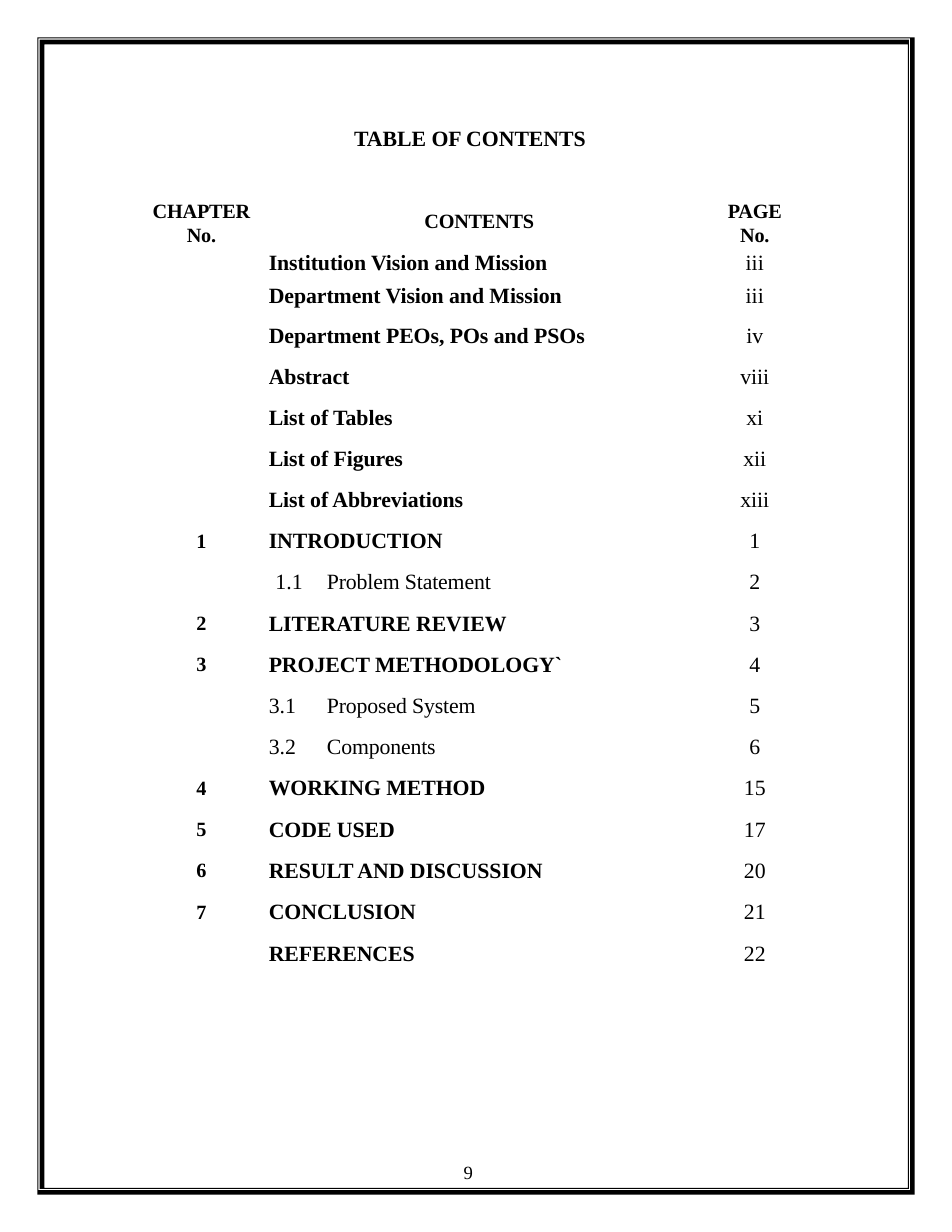
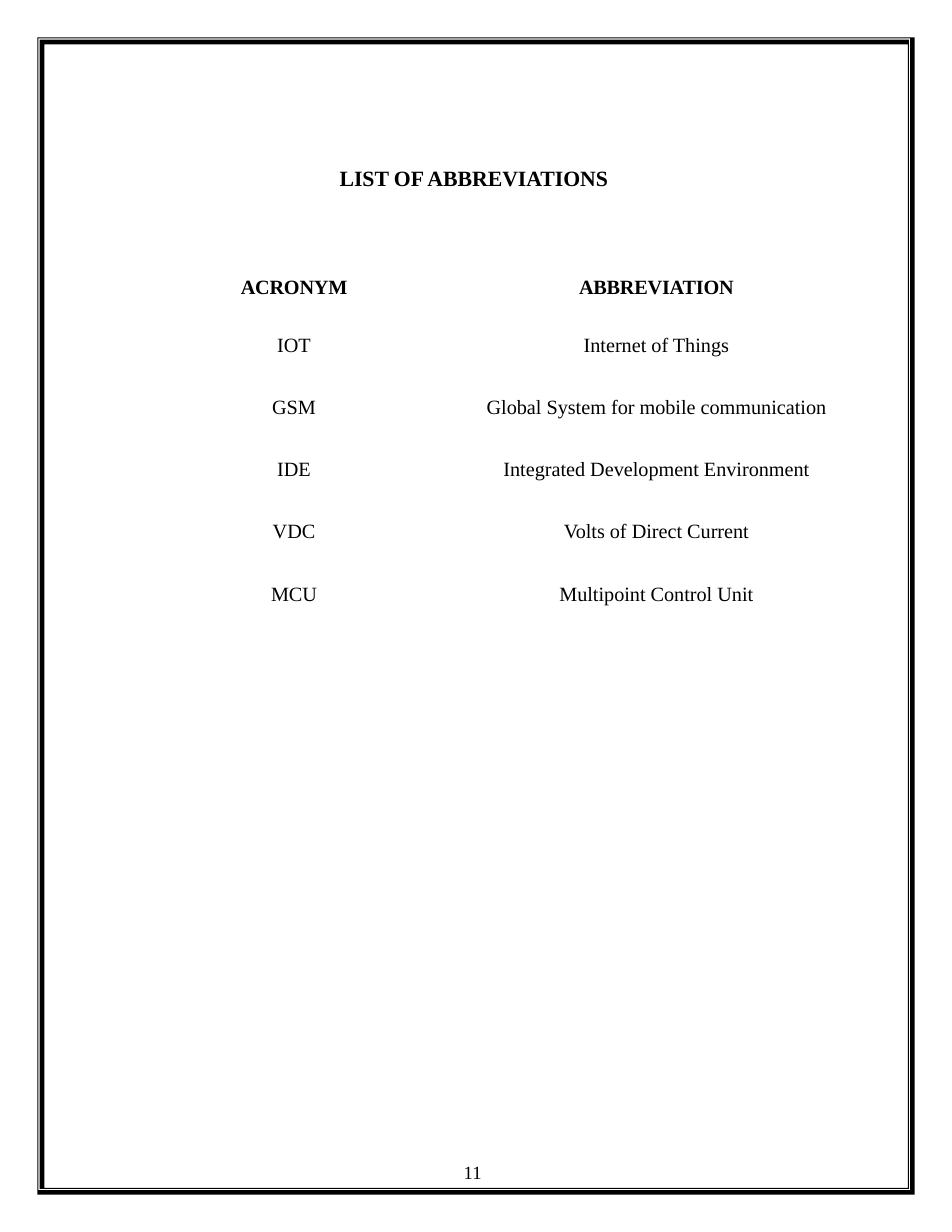
from dataclasses import dataclass
from typing import NamedTuple

from pptx import Presentation
from pptx.dml.color import RGBColor
from pptx.enum import text as t
from pptx.util import Pt

INK = {"black": "000000"}
FACE = "Times New Roman"
LEFT, MID = t.PP_ALIGN.LEFT, t.PP_ALIGN.CENTER
FRAME = [
    (24, 24, 588, 768),
    (24.7, 24.7, 585, 765),
    (25.5, 25.5, 584.3, 764.3),
    (28.5, 28.5, 583.6, 763.6),
]


@dataclass
class Label:
    words: str
    size: float = 14
    bold: bool = False
    align: t.PP_ALIGN = LEFT
    left: float = 0
    right: float = 0
    before: float = 0
    lines: tuple = ()
    kern: int = 0


class Box(NamedTuple):
    x: float
    y: float
    w: float
    h: float


class Entry(NamedTuple):
    num: str
    sub: str
    words: str
    page: str


ENTRIES = [
    Entry("", "", "Institution Vision and Mission", "iii"),
    Entry("", "", "Department Vision and Mission", "iii"),
    Entry("", "", "Department PEOs, POs and PSOs", "iv"),
    Entry("", "", "Abstract", "viii"),
    Entry("", "", "List of Tables", "xi"),
    Entry("", "", "List of Figures", "xii"),
    Entry("", "", "List of Abbreviations", "xiii"),
    Entry("1", "", "INTRODUCTION", "1"),
    Entry("", "1.1", "Problem Statement", "2"),
    Entry("2", "", "LITERATURE REVIEW", "3"),
    Entry("3", "", "PROJECT METHODOLOGY`", "4"),
    Entry("", "3.1", "Proposed System", "5"),
    Entry("", "3.2", "Components", "6"),
    Entry("4", "", "WORKING METHOD", "15"),
    Entry("5", "", "CODE USED", "17"),
    Entry("6", "", "RESULT AND DISCUSSION", "20"),
    Entry("7", "", "CONCLUSION", "21"),
    Entry("", "", "REFERENCES", "22"),
]

TERMS = [
    ("IOT", "Internet of Things"),
    ("GSM", "Global System for mobile communication"),
    ("IDE", "Integrated Development Environment"),
    ("VDC", "Volts of Direct Current"),
    ("MCU", "Multipoint Control Unit"),
]


def write(body, label: Label) -> None:
    body.text = label.words
    for i, para in enumerate(body.paragraphs):
        para.alignment = label.align
        para.space_before = Pt(label.before)
        if label.lines:
            para.line_spacing = Pt(label.lines[i])
        for run in para.runs:
            font = run.font
            font.name, font.size, font.bold = FACE, Pt(label.size), label.bold
            font.color.rgb = RGBColor.from_string(INK["black"])
            if label.kern:
                font._element.set("spc", str(label.kern))


def pad(area, label: Label) -> None:
    area.margin_left, area.margin_right = Pt(label.left), Pt(label.right)
    area.margin_top, area.margin_bottom = Pt(label.before), Pt(0)


def add_text(slide, box: Box, label: Label) -> None:
    body = slide.shapes.add_textbox(*map(Pt, box)).text_frame
    body.word_wrap = True
    pad(body, label)
    write(body, label)


def fill_cell(cell, label: Label) -> None:
    pad(cell, label)
    if label.words:
        write(cell.text_frame, label)
    else:
        para = cell.text_frame.paragraphs[0]
        para._p.get_or_add_endParaRPr().set("sz", "1000")


def add_grid(slide, x: float, y: float, cols: list, rows: list, cells: list):
    box = Box(x, y, sum(cols), sum(rows))
    grid = slide.shapes.add_table(len(rows), len(cols), *map(Pt, box)).table
    grid.first_row = grid.horz_banding = False
    for col, wide in zip(grid.columns, cols):
        col.width = Pt(wide)
    for row, high, labels in zip(grid.rows, rows, cells):
        row.height = Pt(high)
        for cell, label in zip(row.cells, labels):
            cell.fill.background()
            fill_cell(cell, label)
    return grid


def add_frame(slide) -> None:
    x, y = FRAME[0][:2]
    pen = slide.shapes.build_freeform(Pt(x), Pt(y))
    for l, u, r, b in FRAME:
        pen.move_to(Pt(l), Pt(u))
        corners = [(r, u), (r, b), (l, b)]
        pen.add_line_segments([(Pt(h), Pt(v)) for h, v in corners], close=True)
    shape = pen.convert_to_shape()
    shape.shadow.inherit = False
    shape.fill.solid()
    shape.fill.fore_color.rgb = RGBColor.from_string(INK["black"])
    shape.line.fill.background()


def add_page(deck, title: str, box: Box, page: str):
    slide = deck.slides.add_slide(deck.slide_layouts[6])
    add_text(slide, box, Label(title, bold=True, left=0.9, before=1, kern=-5))
    add_frame(slide)
    add_text(slide, Box(295.2, 746.6, 22.3, 15),
             Label(page, 12, left=2.9, lines=(14.1,)))
    return slide


def entry_row(entry: Entry, before: float, lines: tuple) -> list:
    num = Label(entry.num, 13, True, MID, 4.3, before=4.7)
    page = Label(entry.page, align=MID, left=35.3, before=before, lines=lines)
    if entry.sub:
        left = 10.1 if entry.sub == "1.1" else 5.8
        sub = Label(entry.sub, left=left, before=before)
        name = Label(entry.words, left=7.9, before=before, kern=-10)
    else:
        sub = Label(entry.words, bold=True, left=5.8, before=before,
                    lines=lines, kern=-5)
        name = Label("")
    return [num, sub, name, page]


def add_contents(deck) -> None:
    slide = add_page(deck, "TABLE OF CONTENTS", Box(226.8, 79.2, 158, 18.7), "9")
    pair = (13.8, 15.3)
    cells = [[
        Label("CHAPTER\nNo.", 13, True, MID, 4.3, lines=pair, kern=-10),
        Label(""),
        Label("CONTENTS", 13, True, left=70.6, before=6.1, kern=-10),
        Label("PAGE\nNo.", 13, True, MID, 35.3, lines=pair, kern=-10),
    ]]
    last = len(ENTRIES) - 1
    gaps = {0: 0, 1: 1.9, 2: 3.5}
    leads = {0: (16.6,), last: (16.1,)}
    for i, entry in enumerate(ENTRIES):
        cells.append(entry_row(entry, gaps.get(i, 4), leads.get(i, ())))
    rows = [31, 20.2, 23.8, 25.9] + [26.5] * 14 + [20.9]
    grid = add_grid(slide, 87.8, 129.6, [79.2, 35.3, 219.6, 91.4], rows, cells)
    for i, entry in enumerate(ENTRIES, 1):
        if not entry.sub:
            grid.cell(i, 1).merge(grid.cell(i, 2))


def add_terms(deck) -> None:
    slide = add_page(deck, "LIST OF ABBREVIATIONS",
                     Box(217.4, 105.1, 182, 18.7), "11")
    cells = []
    for i, pair in enumerate([("ACRONYM", "ABBREVIATION")] + TERMS):
        head = i == 0
        lines = {0: (14.2,), len(TERMS): (14.8,)}.get(i, ())
        cells.append([
            Label(words, 13, head, MID, left, right, 0 if head else 11.1,
                  lines, -10 if head else 0)
            for words, left, right in zip(pair, (0, 34.6), (33.8, 0))
        ])
    rows = [26.4] + [39.9] * 4 + [26.4]
    add_grid(slide, 144, 177.8, [123.8, 273.6], rows, cells)


def main() -> None:
    deck = Presentation()
    deck.slide_width, deck.slide_height = Pt(612), Pt(792)
    add_contents(deck)
    add_terms(deck)
    deck.save("out.pptx")


if __name__ == "__main__":
    main()
